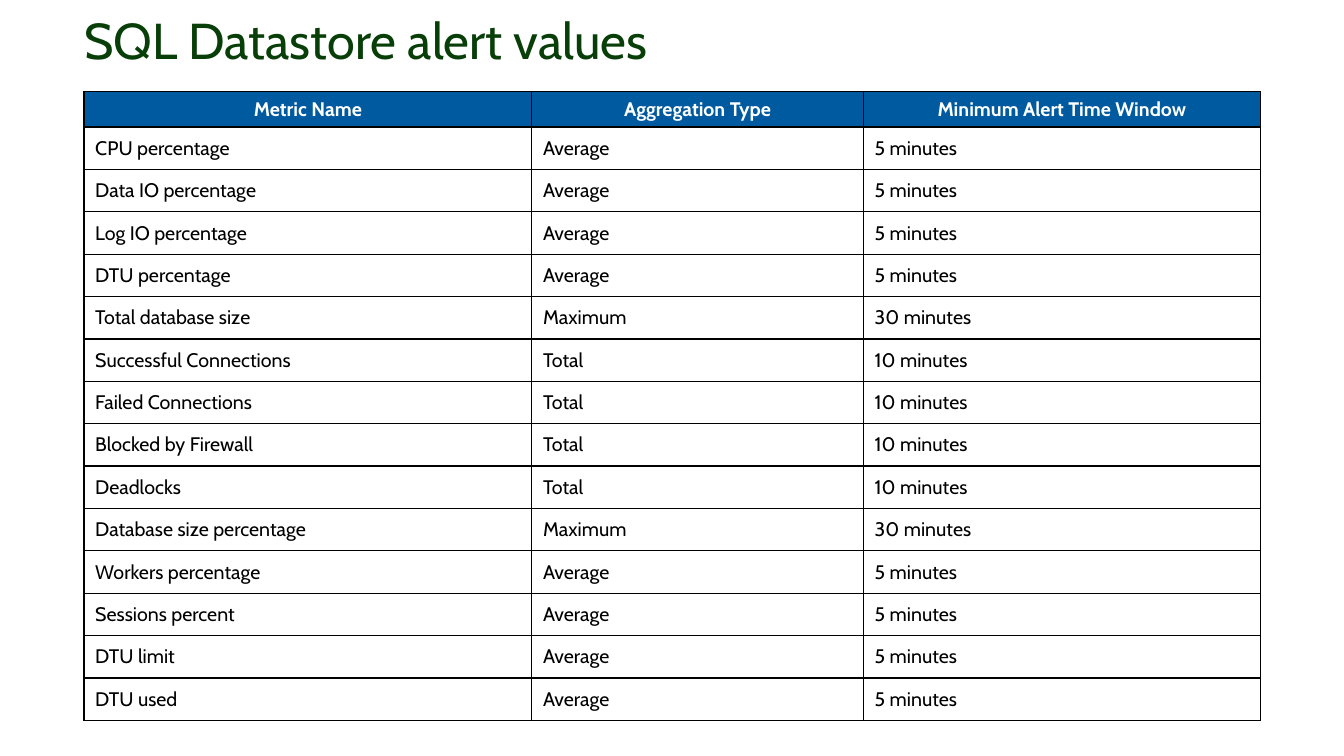
from lxml import etree
from pptx import Presentation
from pptx.dml.color import RGBColor
from pptx.enum import text
from pptx.oxml import ns
from pptx.util import Pt

COLORS = {
    "title": "083E08",
    "header": "005A9F",
    "white": "FFFFFF",
    "black": "000000",
}
FONT = "Cabin"
LEFT = Pt(60)
HEADER_HEIGHT = Pt(25.2)
ROW_HEIGHT = Pt(30.29)
COLUMN_WIDTHS = [Pt(319.9), Pt(236.9), Pt(283.5)]

HEADINGS = ("Metric Name", "Aggregation Type", "Minimum Alert Time Window")
ALERTS = [
    ("CPU percentage", "Average", 5),
    ("Data IO percentage", "Average", 5),
    ("Log IO percentage", "Average", 5),
    ("DTU percentage", "Average", 5),
    ("Total database size", "Maximum", 30),
    ("Successful Connections", "Total", 10),
    ("Failed Connections", "Total", 10),
    ("Blocked by Firewall", "Total", 10),
    ("Deadlocks", "Total", 10),
    ("Database size percentage", "Maximum", 30),
    ("Workers percentage", "Average", 5),
    ("Sessions percent", "Average", 5),
    ("DTU limit", "Average", 5),
    ("DTU used", "Average", 5),
]


def color(name):
    return RGBColor.from_string(COLORS[name])


def format_text(para, size, color_name, bold, align):
    para.alignment = align
    for span in para.runs:
        span.font.name = FONT
        span.font.size = Pt(size)
        span.font.bold = bold
        span.font.color.rgb = color(color_name)


def add_title(page, words):
    title = page.shapes.title
    title.left, title.top, title.width, title.height = LEFT, Pt(14.4), Pt(857), Pt(36)
    title.fill.solid()
    title.fill.fore_color.rgb = color("white")
    frame = title.text_frame
    frame.text = words
    frame.margin_left = frame.margin_right = frame.margin_top = frame.margin_bottom = 0
    frame.vertical_anchor = text.MSO_ANCHOR.TOP
    frame.word_wrap = True
    frame.auto_size = text.MSO_AUTO_SIZE.SHAPE_TO_FIT_TEXT
    para = frame.paragraphs[0]
    para.line_spacing = Pt(35)
    format_text(para, 36, "title", False, text.PP_ALIGN.LEFT)


def add_borders(cell):
    """Draw a thin black line on all four sides; call before setting the fill."""
    properties = cell._tc.get_or_add_tcPr()
    for side in ("a:lnL", "a:lnR", "a:lnT", "a:lnB"):
        line = etree.SubElement(properties, ns.qn(side), w=str(Pt(1)))
        fill = etree.SubElement(line, ns.qn("a:solidFill"))
        etree.SubElement(fill, ns.qn("a:srgbClr"), val=COLORS["black"])


def fill_cell(cell, words, is_header):
    cell.text = words
    cell.vertical_anchor = text.MSO_ANCHOR.MIDDLE
    add_borders(cell)
    para = cell.text_frame.paragraphs[0]
    if is_header:
        cell.fill.solid()
        cell.fill.fore_color.rgb = color("header")
        format_text(para, 14, "white", True, text.PP_ALIGN.CENTER)
    else:
        cell.fill.background()
        cell.margin_left = cell.margin_right = Pt(8)
        cell.margin_top = cell.margin_bottom = Pt(6)
        format_text(para, 14, "black", False, text.PP_ALIGN.LEFT)


def add_alert_table(page):
    rows = [HEADINGS]
    rows += [(metric, kind, f"{minutes} minutes") for metric, kind, minutes in ALERTS]
    height = HEADER_HEIGHT + ROW_HEIGHT * len(ALERTS)
    table = page.shapes.add_table(
        len(rows), len(HEADINGS), LEFT, Pt(65.5), sum(COLUMN_WIDTHS), height
    ).table
    table.horz_banding = False
    for column, width in zip(table.columns, COLUMN_WIDTHS):
        column.width = width
    for r, values in enumerate(rows):
        table.rows[r].height = ROW_HEIGHT if r else HEADER_HEIGHT
        for c, words in enumerate(values):
            fill_cell(table.cell(r, c), words, is_header=r == 0)


def main():
    deck = Presentation()
    deck.slide_width, deck.slide_height = Pt(960), Pt(540)
    page = deck.slides.add_slide(deck.slide_layouts[5])
    add_title(page, "SQL Datastore alert values")
    add_alert_table(page)
    deck.save("out.pptx")


if __name__ == "__main__":
    main()
